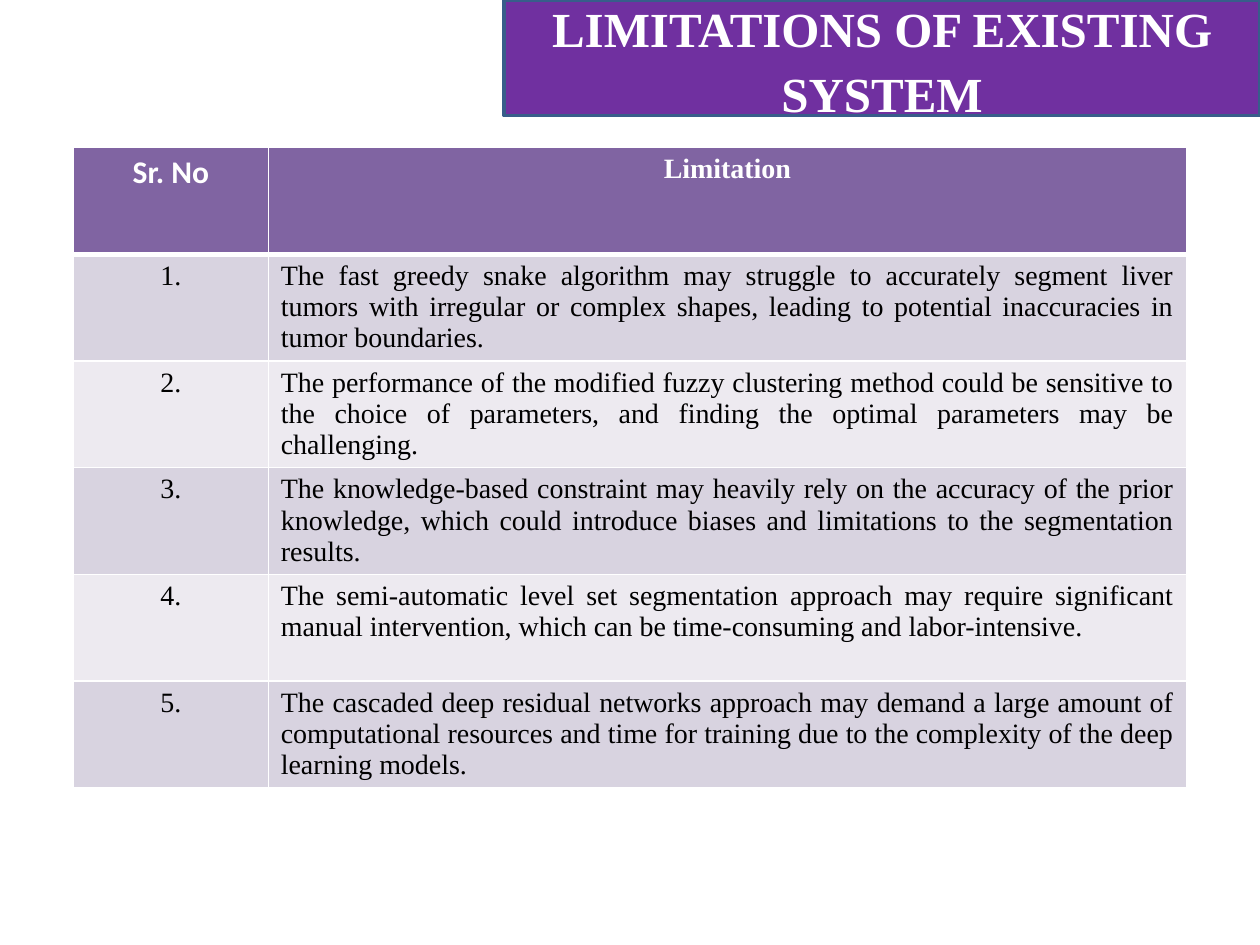
import pptx
import pptx.util
import pptx.dml.color
import pptx.enum.text
import pptx.oxml.ns
import lxml.etree

Pt = pptx.util.Pt
RGBColor = pptx.dml.color.RGBColor
ALIGN = pptx.enum.text.PP_ALIGN

COLORS = {
    "banner": "7030A0",
    "banner_line": "385D8A",
    "header": "8064A2",
    "dark_band": "D8D3E0",
    "light_band": "EDEAF0",
    "white": "FFFFFF",
    "black": "000000",
}
SERIF = "Times New Roman"
ROW_HEIGHT = 60.96
COLUMN_WIDTHS = [111.3, 524.7]
LIMITATIONS = [
    "The fast greedy snake algorithm may struggle to accurately segment liver tumors "
    "with irregular or complex shapes, leading to potential inaccuracies in tumor boundaries.",
    "The performance of the modified fuzzy clustering method could be sensitive to the choice "
    "of parameters, and finding the optimal parameters may be challenging.",
    "The knowledge-based constraint may heavily rely on the accuracy of the prior knowledge, "
    "which could introduce biases and limitations to the segmentation results.",
    "The semi-automatic level set segmentation approach may require significant manual "
    "intervention, which can be time-consuming and labor-intensive.",
    "The cascaded deep residual networks approach may demand a large amount of computational "
    "resources and time for training due to the complexity of the deep learning models.",
]


def write_text(text_frame, text, size=16, font=SERIF, color="black", bold=False,
               align=ALIGN.CENTER, spacing=None):
    paragraph = text_frame.paragraphs[0]
    paragraph.alignment = align
    paragraph.line_spacing = spacing
    run = paragraph.add_run()
    run.text = text
    run.font.size = Pt(size)
    run.font.name = font
    run.font.bold = bold
    run.font.color.rgb = RGBColor.from_string(COLORS[color])


def add_border(cell, side, width):
    qn = pptx.oxml.ns.qn
    properties = cell._tc.get_or_add_tcPr()
    line = lxml.etree.SubElement(properties, qn("a:ln" + side), w=str(Pt(width)))
    fill = lxml.etree.SubElement(line, qn("a:solidFill"))
    lxml.etree.SubElement(fill, qn("a:srgbClr"), val=COLORS["white"])


presentation = pptx.Presentation()
presentation.slide_width = Pt(720)
presentation.slide_height = Pt(540)
slide = presentation.slides.add_slide(presentation.slide_layouts[5])

# Title banner
title = slide.shapes.title
title.left, title.top, title.width, title.height = Pt(288), Pt(0), Pt(432), Pt(66)
title.fill.solid()
title.fill.fore_color.rgb = RGBColor.from_string(COLORS["banner"])
title.line.color.rgb = RGBColor.from_string(COLORS["banner_line"])
title.line.width = Pt(2)
title.text_frame.auto_size = pptx.enum.text.MSO_AUTO_SIZE.NONE
title.text_frame.vertical_anchor = pptx.enum.text.MSO_ANCHOR.MIDDLE
write_text(title.text_frame, "LIMITATIONS OF EXISTING SYSTEM", size=28,
           color="white", bold=True, spacing=1.09)

# Table grid
row_count = len(LIMITATIONS) + 1
table = slide.shapes.add_table(row_count, 2, Pt(42), Pt(84.4), Pt(sum(COLUMN_WIDTHS)),
                               Pt(ROW_HEIGHT * row_count)).table
for column, width in zip(table.columns, COLUMN_WIDTHS):
    column.width = Pt(width)

# Borders and banded fills
for row_index, row in enumerate(table.rows):
    row.height = Pt(ROW_HEIGHT)
    band = "header" if row_index == 0 else "dark_band" if row_index % 2 else "light_band"
    for cell in row.cells:
        add_border(cell, "L", 1)
        add_border(cell, "R", 1)
        add_border(cell, "T", 3 if row_index == 1 else 1)
        add_border(cell, "B", 3 if row_index == 0 else 1)
        cell.fill.solid()
        cell.fill.fore_color.rgb = RGBColor.from_string(COLORS[band])

# Header and numbered limitations
write_text(table.cell(0, 0).text_frame, "Sr. No", size=18, font="Calibri",
           color="white", bold=True)
write_text(table.cell(0, 1).text_frame, "Limitation", color="white", bold=True)
for number, limitation in enumerate(LIMITATIONS, start=1):
    write_text(table.cell(number, 0).text_frame, f"{number}.")
    write_text(table.cell(number, 1).text_frame, limitation, align=ALIGN.JUSTIFY)

presentation.save("out.pptx")
